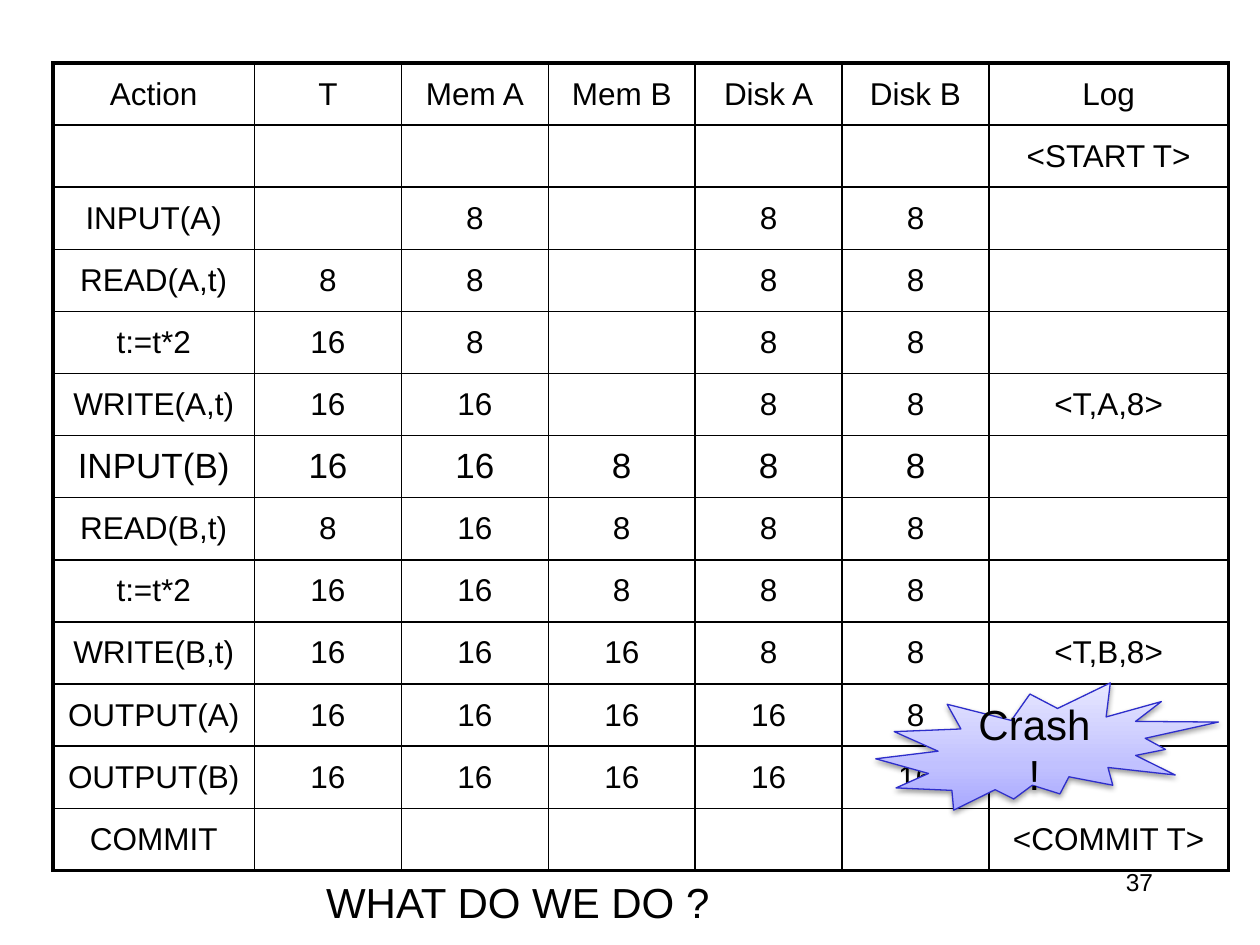
from lxml import etree
from pptx import Presentation
from pptx.dml.color import RGBColor
from pptx.enum.shapes import MSO_SHAPE
from pptx.enum.text import MSO_ANCHOR, PP_ALIGN
from pptx.oxml.ns import qn
from pptx.util import Inches, Pt

EXPLOSION = MSO_SHAPE.EXPLOSION2
MIDDLE = MSO_ANCHOR.MIDDLE
LEFT, CENTER, RIGHT = PP_ALIGN.LEFT, PP_ALIGN.CENTER, PP_ALIGN.RIGHT
FONT = "Arial"
BLACK = "000000"
BLANK_LAYOUT = 6
THICK, THIN = 2.25, 1
TABLE_WIDTH, TABLE_HEIGHT = 9.33, 6.41
ACTION_WIDTH, LOG_WIDTH = 1.6, 1.9
LARGE_ROW = 6
LOG_ROWS = [
    ["Action", "T", "Mem A", "Mem B", "Disk A", "Disk B", "Log"],
    ["", "", "", "", "", "", "<START T>"],
    ["INPUT(A)", "", "8", "", "8", "8", ""],
    ["READ(A,t)", "8", "8", "", "8", "8", ""],
    ["t:=t*2", "16", "8", "", "8", "8", ""],
    ["WRITE(A,t)", "16", "16", "", "8", "8", "<T,A,8>"],
    ["INPUT(B)", "16", "16", "8", "8", "8", ""],
    ["READ(B,t)", "8", "16", "8", "8", "8", ""],
    ["t:=t*2", "16", "16", "8", "8", "8", ""],
    ["WRITE(B,t)", "16", "16", "16", "8", "8", "<T,B,8>"],
    ["OUTPUT(A)", "16", "16", "16", "16", "8", ""],
    ["OUTPUT(B)", "16", "16", "16", "16", "16", ""],
    ["COMMIT", "", "", "", "", "", "<COMMIT T>"],
]


def color(value):
    """Turn a hex string into a colour."""
    return RGBColor.from_string(value)


def set_text(text_frame, text, size, alignment):
    """Write one formatted paragraph."""
    paragraph = text_frame.paragraphs[0]
    paragraph.text = text
    paragraph.alignment = alignment
    paragraph.font.name = FONT
    paragraph.font.size = Pt(size)
    paragraph.font.color.rgb = color(BLACK)


def add_color(parent, value):
    """Append an RGB colour element and return it."""
    return etree.SubElement(parent, qn("a:srgbClr"), val=value)


def set_borders(cell, widths):
    """Draw the left, right, top and bottom borders of a cell."""
    properties = cell._tc.get_or_add_tcPr()
    for side, width in zip("LRTB", widths):
        line = etree.SubElement(properties, qn(f"a:ln{side}"), w=str(Pt(width)))
        add_color(etree.SubElement(line, qn("a:solidFill")), BLACK)


def add_log_table(slide):
    """Add the table of transaction steps and log records."""
    row_count, column_count = len(LOG_ROWS), len(LOG_ROWS[0])
    table = slide.shapes.add_table(
        row_count, column_count, Inches(0.42), Inches(0.5),
        Inches(TABLE_WIDTH), Inches(TABLE_HEIGHT)).table
    table.first_row = table.horz_banding = False
    value_width = (TABLE_WIDTH - ACTION_WIDTH - LOG_WIDTH) / (column_count - 2)
    widths = [ACTION_WIDTH] + [value_width] * (column_count - 2) + [LOG_WIDTH]
    for column, width in zip(table.columns, widths):
        column.width = Inches(width)
    for row_index, values in enumerate(LOG_ROWS):
        table.rows[row_index].height = Inches(TABLE_HEIGHT / row_count)
        for column_index, value in enumerate(values):
            cell = table.cell(row_index, column_index)
            outer_sides = (column_index == 0, column_index == column_count - 1,
                           row_index == 0, row_index == row_count - 1)
            set_borders(cell, [THICK if outer else THIN for outer in outer_sides])
            cell.fill.background()
            cell.vertical_anchor = MIDDLE
            set_text(cell.text_frame, value, 20 if row_index == LARGE_ROW else 18, CENTER)


def add_label(slide, text, left, top, width, size, alignment, wrap):
    """Add a text box with one line."""
    box = slide.shapes.add_textbox(Inches(left), Inches(top), Inches(width), Inches(0.5))
    box.text_frame.word_wrap = wrap
    set_text(box.text_frame, text, size, alignment)


def set_gradient(shape, stops):
    """Fill a shape with a gradient running from bottom to top."""
    shape.fill.gradient()
    shape.fill.gradient_angle = 90
    stop_list = shape._element.spPr.find(qn("a:gradFill")).find(qn("a:gsLst"))
    for stop in list(stop_list):
        stop_list.remove(stop)
    for position, value in stops:
        add_color(etree.SubElement(stop_list, qn("a:gs"), pos=str(position * 1000)), value)


def set_shadow(shape):
    """Give a shape a soft shadow below it."""
    shape.shadow.inherit = False
    effects = shape._element.spPr.find(qn("a:effectLst"))
    shadow = etree.SubElement(effects, qn("a:outerShdw"), blurRad=str(Pt(3.1)),
                              dist=str(Pt(1.6)), dir="5400000", rotWithShape="0")
    etree.SubElement(add_color(shadow, BLACK), qn("a:alpha"), val="38000")


def add_crash_burst(slide):
    """Add the explosion that marks the crash."""
    burst = slide.shapes.add_shape(
        EXPLOSION, Inches(6.95), Inches(5.42), Inches(2.72), Inches(1.01))
    set_gradient(burst, [(0, "A7A7FF"), (35, "C1C1FF"), (100, "E7E7FF")])
    burst.line.color.rgb = color("2E2ECB")
    burst.line.width = Pt(0.75)
    set_shadow(burst)
    burst.text_frame.word_wrap = True
    burst.text_frame.vertical_anchor = MIDDLE
    set_text(burst.text_frame, "Crash !", 24, CENTER)


def main():
    """Build and save the slide."""
    presentation = Presentation()
    presentation.slide_width = Inches(10)
    presentation.slide_height = Inches(7.5)
    slide = presentation.slides.add_slide(presentation.slide_layouts[BLANK_LAYOUT])
    add_label(slide, "37", 7.17, 6.83, 2.08, 14, RIGHT, True)
    add_log_table(slide)
    add_crash_burst(slide)
    add_label(slide, "WHAT DO WE DO ?", 2.49, 6.91, 3.27, 24, LEFT, False)
    presentation.save("out.pptx")


if __name__ == "__main__":
    main()
